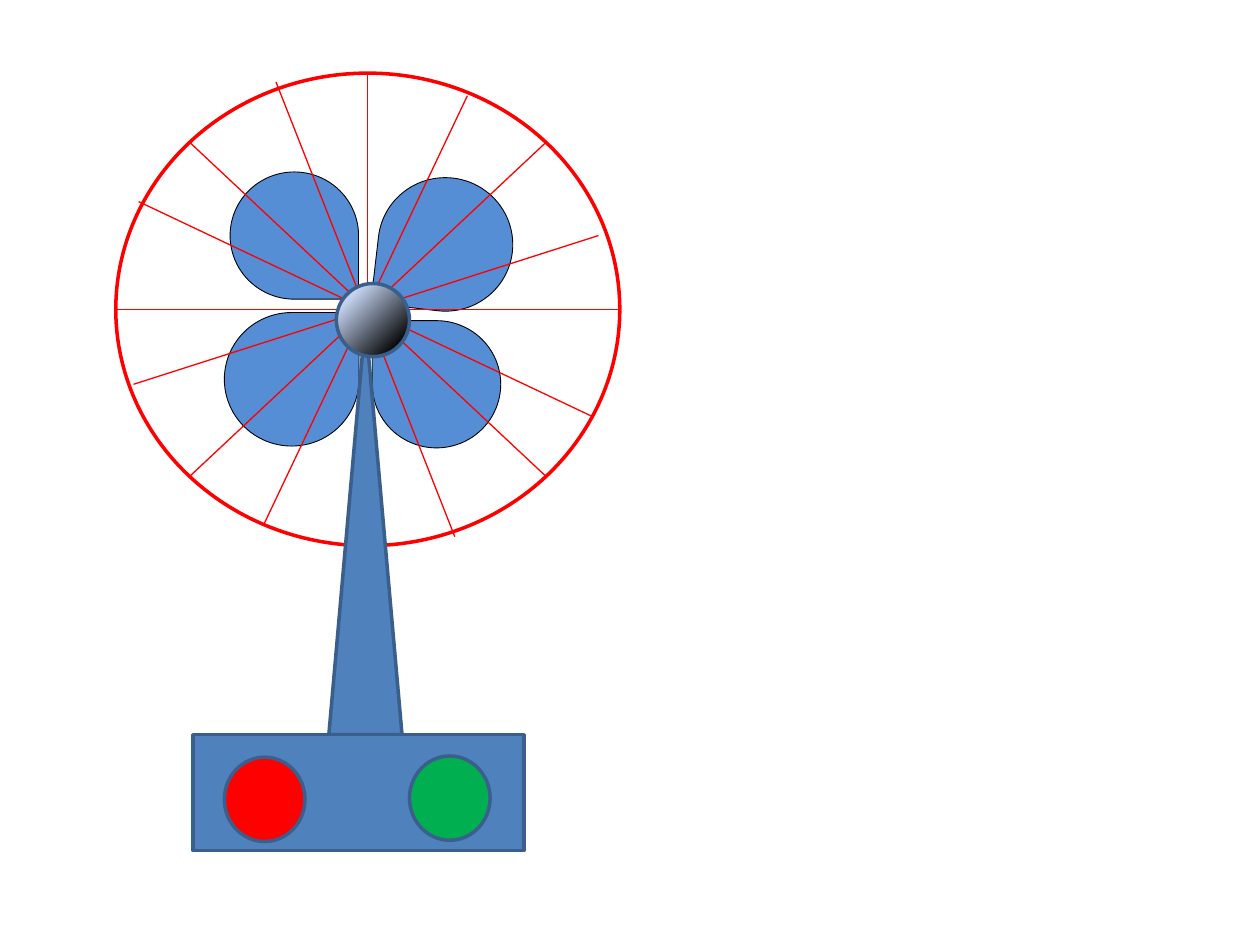
import math
from dataclasses import dataclass

import lxml.etree
import pptx
import pptx.dml.color
import pptx.enum.shapes
import pptx.oxml.ns
import pptx.util

Pt = pptx.util.Pt
Shape = pptx.enum.shapes.MSO_SHAPE
qn = pptx.oxml.ns.qn


@dataclass(frozen=True)
class Theme:
    blade: str = "558ED5"
    blade_edge: str = "000000"
    guard: str = "FF0000"
    body: str = "4F81BD"
    body_edge: str = "3A5F8C"
    stop_button: str = "FF0000"
    start_button: str = "00B050"
    hub: tuple = ((13, "000000"), (80, "C2D1ED"), (100, "E1E8F5"))
    thin: float = 0.5
    spoke: float = 0.75
    thick: float = 2


def color(code):
    return pptx.dml.color.RGBColor.from_string(code)


class FanDrawing:
    """Draws on one slide; all lengths are in points."""

    def __init__(self, slide, theme):
        self.slide = slide
        self.theme = theme

    def group(self):
        return self.slide.shapes.add_group_shape().shapes

    def shape(self, kind, box, fill, edge, width, parent=None, rotation=0):
        shapes = self.slide.shapes if parent is None else parent
        shape = shapes.add_shape(kind, *map(Pt, box))
        shape.shadow.inherit = False
        shape.rotation = rotation
        if fill:
            shape.fill.solid()
            shape.fill.fore_color.rgb = color(fill)
        else:
            shape.fill.background()
        shape.line.color.rgb = color(edge)
        shape.line.width = Pt(width)
        return shape

    def body_part(self, kind, box, fill=None):
        theme = self.theme
        return self.shape(kind, box, fill or theme.body, theme.body_edge, theme.thick)

    def blade(self, parent, box, rotation):
        theme = self.theme
        self.shape(Shape.TEAR, box, theme.blade, theme.blade_edge,
                   theme.thin, parent, rotation)

    def spoke(self, parent, start, end):
        line = parent.add_connector(pptx.enum.shapes.MSO_CONNECTOR.STRAIGHT,
                                    *map(Pt, (*start, *end)))
        line.line.color.rgb = color(self.theme.guard)
        line.line.width = Pt(self.theme.spoke)
        lxml.etree.SubElement(line._element.spPr, qn("a:effectLst"))

    def hub(self, box):
        """A ball shaded in circles around its lower right corner."""
        shape = self.body_part(Shape.OVAL, box)
        shape.fill.gradient()
        gradient = shape._element.spPr.find(qn("a:gradFill"))
        for child in list(gradient):
            gradient.remove(child)
        stops = lxml.etree.SubElement(gradient, qn("a:gsLst"))
        for position, code in self.theme.hub:
            stop = lxml.etree.SubElement(stops, qn("a:gs"), pos=str(position * 1000))
            lxml.etree.SubElement(stop, qn("a:srgbClr"), val=code)
        circle = lxml.etree.SubElement(gradient, qn("a:path"), path="circle")
        lxml.etree.SubElement(circle, qn("a:fillToRect"), l="100000", t="100000")


def main():
    presentation = pptx.Presentation()
    presentation.slide_width, presentation.slide_height = Pt(720), Pt(540)
    slide = presentation.slides.add_slide(presentation.slide_layouts[6])
    theme = Theme()
    fan = FanDrawing(slide, theme)

    # Blades
    blades = fan.group()
    for box, rotation in (
        ((128.2, 178.6, 77, 76.3), 0),
        ((216, 101.5, 77, 76.3), 186.6),
        ((213.1, 182.9, 72.7, 73.4), 270),
        ((131.8, 97.9, 72.7, 73.4), 90),
    ):
        fan.blade(blades, box, rotation)

    # Slanted spokes
    slanted = fan.group()
    for start, end in (
        ((79.2, 115.2), (339.1, 238.3)),
        ((267.1, 54.7), (151.2, 298.8)),
        ((157.7, 46.8), (259.9, 306.7)),
        ((76.3, 219.6), (342, 134.6)),
    ):
        fan.spoke(slanted, start, end)

    # Guard ring with a spoke through the centre every 45 degrees
    guard = fan.group()
    center_x, center_y, radius_x, radius_y = 210.2, 176.8, 144, 135
    fan.shape(Shape.OVAL, (center_x - radius_x, center_y - radius_y,
                           2 * radius_x, 2 * radius_y),
              None, theme.guard, theme.thick, guard)
    for degrees in (0, 90, 45, 135):
        dx = radius_x * math.cos(math.radians(degrees))
        dy = radius_y * math.sin(math.radians(degrees))
        fan.spoke(guard, (center_x - dx, center_y - dy), (center_x + dx, center_y + dy))

    # Stand, hub and base
    fan.body_part(Shape.ISOSCELES_TRIANGLE, (187.9, 182.9, 41.8, 236.9))
    fan.hub((192.2, 162, 41.8, 41.8))
    fan.body_part(Shape.RECTANGLE, (110.2, 419.8, 189.4, 66.2))

    # Buttons
    fan.body_part(Shape.OVAL, (128.2, 432.7, 46.1, 48.2), theme.stop_button)
    fan.body_part(Shape.OVAL, (234, 432, 46.1, 48.2), theme.start_button)

    presentation.save("out.pptx")


if __name__ == "__main__":
    main()
